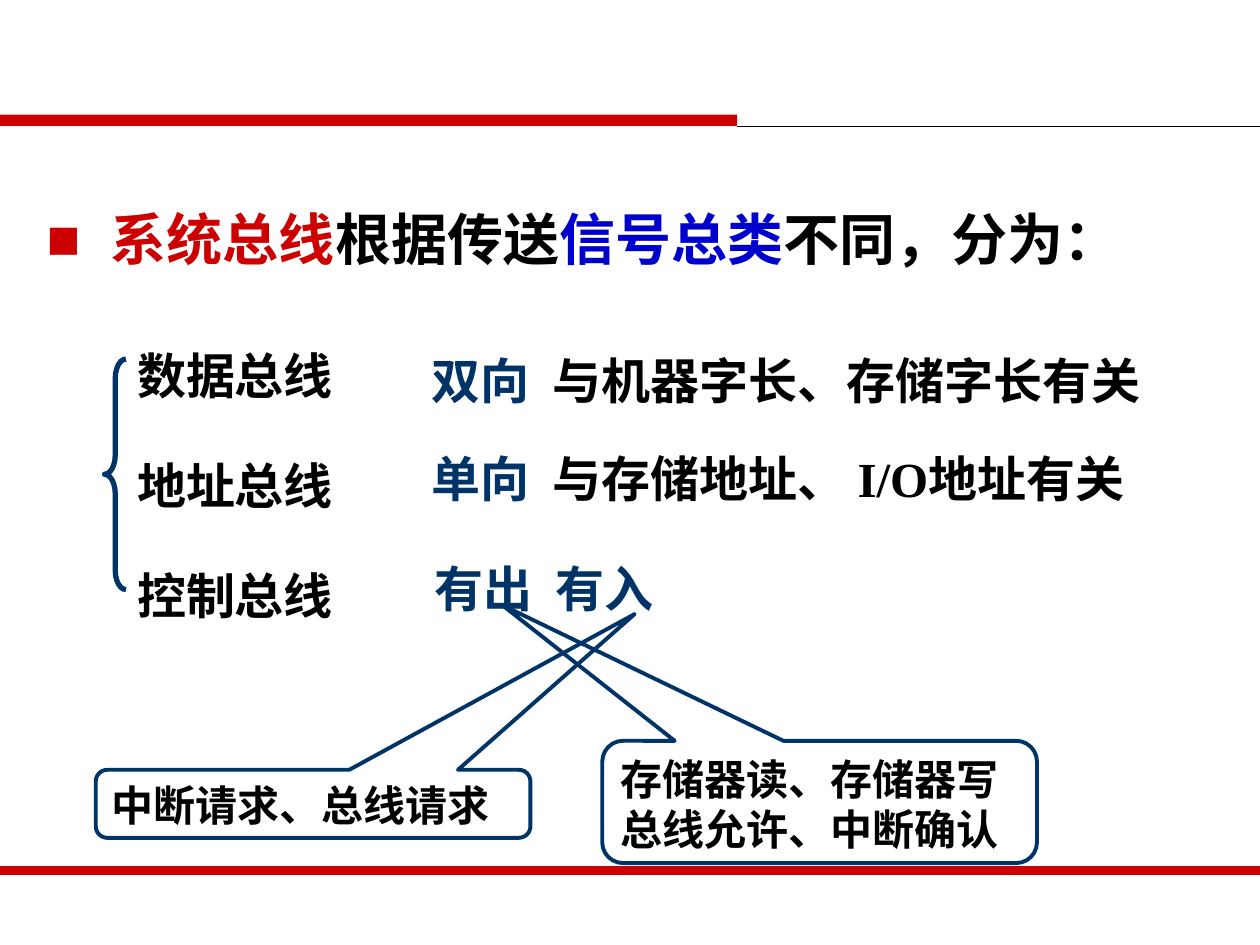
from lxml.etree import SubElement
from pptx import Presentation
from pptx.dml.color import RGBColor
from pptx.enum.shapes import MSO_CONNECTOR as Connector, MSO_SHAPE as Shape
from pptx.enum.text import MSO_ANCHOR as Anchor, MSO_AUTO_SIZE as AutoSize, PP_ALIGN as Align
from pptx.oxml.ns import qn
from pptx.util import Inches, Pt

COLORS = {
    "red": "CC0000",
    "navy": "003366",
    "blue": "0000CC",
    "black": "000000",
}
COLUMNS, ROWS = 100, 75
WIDTH, HEIGHT = Inches(10), Inches(7.5)
BUS_FONT = "Times New Roman"


def color(name):
    return RGBColor.from_string(COLORS[name])


def area(left, top, width, height):
    column, row = WIDTH / COLUMNS, HEIGHT / ROWS
    return (round(left * column), round(top * row),
            round(width * column), round(height * row))


def place(shape, box):
    shape.left, shape.top, shape.width, shape.height = area(*box)


def set_tab(paragraph, position):
    tabs = SubElement(paragraph._p.get_or_add_pPr(), qn("a:tabLst"))
    SubElement(tabs, qn("a:tab"), pos=str(Inches(position)), algn="l")


def set_bullet(paragraph, character, name, indent):
    properties = paragraph._p.get_or_add_pPr()
    properties.set("marL", str(Inches(indent)))
    properties.set("indent", str(-Inches(indent)))
    bullet_color = SubElement(properties, qn("a:buClr"))
    SubElement(bullet_color, qn("a:srgbClr"), val=COLORS[name])
    SubElement(properties, qn("a:buFont"), typeface="Arial")
    SubElement(properties, qn("a:buChar"), char=character)


def write(paragraph, runs, size, font_name):
    paragraph.alignment = Align.LEFT
    paragraph.font.size = Pt(size)
    paragraph.font.name = font_name
    paragraph.font.bold = True
    for text, name in runs:
        run = paragraph.add_run()
        run.text = text
        run.font.color.rgb = color(name)


def add_line(slide, start, end, name, width):
    left, top, right, bottom = area(*start, *end)
    line = slide.shapes.add_connector(Connector.STRAIGHT, left, top, right, bottom)
    line.line.color.rgb = color(name)
    line.line.width = Pt(width)
    SubElement(line._element.spPr, qn("a:effectLst"))


def add_outline(slide, kind, box, adjustments, width):
    shape = slide.shapes.add_shape(kind, *area(*box))
    shape.shadow.inherit = False
    shape.fill.background()
    shape.line.color.rgb = color("navy")
    shape.line.width = Pt(width)
    for index, value in enumerate(adjustments):
        shape.adjustments[index] = value
    return shape


def add_frame_lines(slide):
    bar = slide.shapes.add_shape(Shape.RECTANGLE, *area(0, 9.1, 58.5, 0.9))
    bar.shadow.inherit = False
    bar.fill.solid()
    bar.fill.fore_color.rgb = color("red")
    bar.line.fill.background()
    add_line(slide, (58.5, 10), (COLUMNS, 10), "black", 0.5)
    add_line(slide, (0, 69.1), (COLUMNS, 69.1), "red", 5)


def add_label(slide, box, runs, tab=None):
    frame = slide.shapes.add_textbox(*area(*box)).text_frame
    frame.word_wrap = True
    paragraph = frame.paragraphs[0]
    if tab:
        set_tab(paragraph, tab)
    write(paragraph, runs, 28, BUS_FONT)


def add_callout(slide, box, adjustments, lines):
    callout = add_outline(slide, Shape.ROUNDED_RECTANGULAR_CALLOUT, box, adjustments, 2.25)
    frame = callout.text_frame
    frame.word_wrap = True
    frame.vertical_anchor = Anchor.TOP
    for index, line in enumerate(lines):
        paragraph = frame.add_paragraph() if index else frame.paragraphs[0]
        write(paragraph, [(line, "black")], 24, BUS_FONT)


def fill_statement(slide):
    title = slide.shapes.title
    title._element.getparent().remove(title._element)
    body = slide.placeholders[1]
    place(body, (2.7, 13.9, 94.5, 9.5))
    body.text_frame.auto_size = AutoSize.NONE
    paragraph = body.text_frame.paragraphs[0]
    paragraph.line_spacing = 1.35
    paragraph.space_before = Pt(0)
    set_bullet(paragraph, "■", "red", 0.51)
    runs = [("系统总线", "red"), ("根据传送", "black"),
            ("信号总类", "blue"), ("不同，分为：", "black")]
    write(paragraph, runs, 32, "Arial")


def main():
    presentation = Presentation()
    presentation.slide_width, presentation.slide_height = WIDTH, HEIGHT
    slide = presentation.slides.add_slide(presentation.slide_layouts[1])

    add_frame_lines(slide)
    fill_statement(slide)
    for index, bus in enumerate(["数据总线", "地址总线", "控制总线"]):
        add_label(slide, (9.9, 26.9 + 8.75 * index, 17.5, 5.7), [(bus, "black")])
    add_outline(slide, Shape.LEFT_BRACE, (8.3, 28.5, 1.7, 18.3), [0.9, 0.5], 3)

    features = [
        ((33.3, 27.3, 66.7, 5.7), "双向", "与机器字长、存储字长有关", "black"),
        ((33.3, 35.1, 66.7, 5.7), "单向", "与存储地址、 I/O地址有关", "black"),
        ((33.5, 43.8, 25, 5.7), "有出", "有入", "navy"),
    ]
    for box, direction, detail, detail_color in features:
        add_label(slide, box, [(direction + "\t", "navy"), (detail, detail_color)], tab=0.96)

    add_callout(slide, (47.8, 58.8, 34.5, 9.7), [-0.73, -1.61, 0.17],
                ["存储器读、存储器写", "总线允许、中断确认"])
    add_callout(slide, (7.6, 61.1, 34.5, 5.4), [0.74, -2.79, 0.17],
                ["中断请求、总线请求"])
    presentation.save("out.pptx")


if __name__ == "__main__":
    main()
